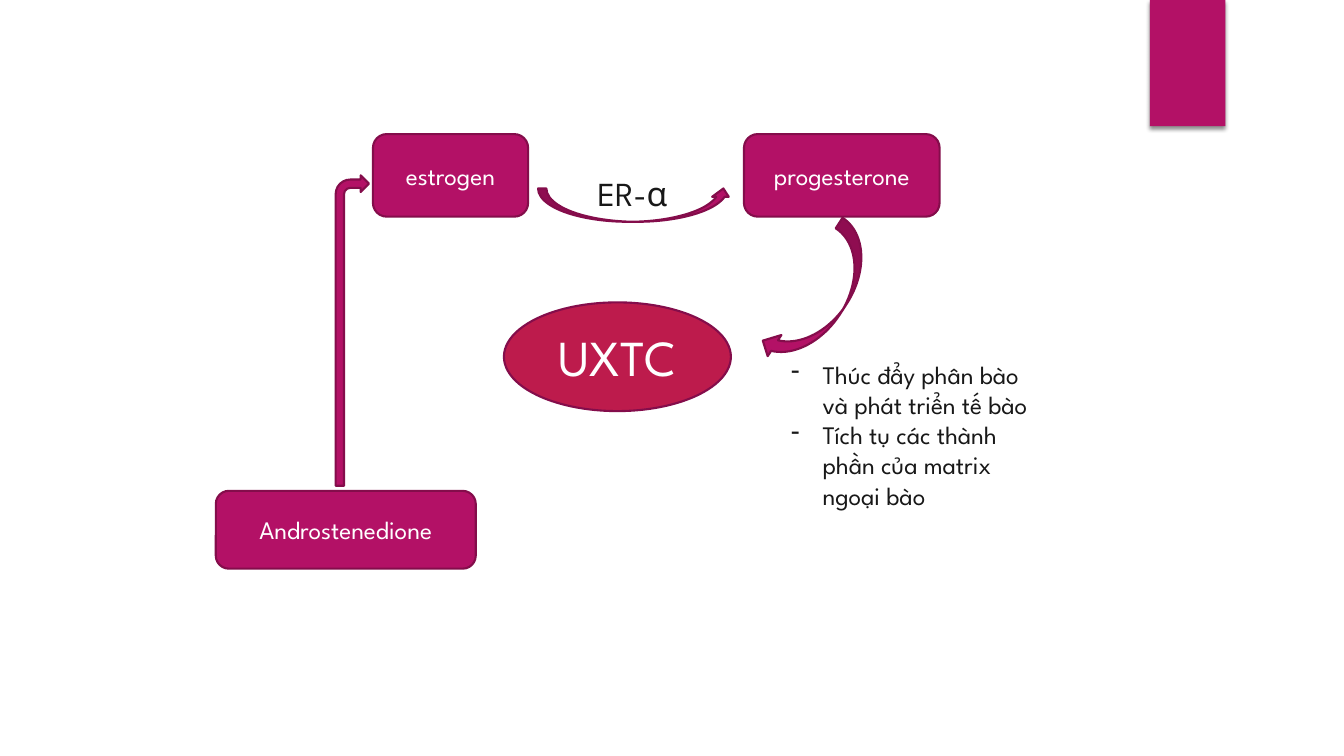
import pptx
import pptx.dml.color
import pptx.enum.shapes
import pptx.enum.text
import pptx.oxml
import pptx.oxml.ns
import pptx.util

Cm, Pt = pptx.util.Cm, pptx.util.Pt
MSO = pptx.enum.shapes.MSO_SHAPE
PP_ALIGN = pptx.enum.text.PP_ALIGN

FONT = "League Spartan"
MAGENTA, CRIMSON, OUTLINE = "B31166", "BD1B4C", "840D4B"
WHITE, INK = "FFFFFF", "181818"
NS = pptx.oxml.ns.nsdecls("a")


def rgb(value):
    return pptx.dml.color.RGBColor.from_string(value)


def add_run(p, text, size, color):
    r = p.add_run()
    r.text = text
    r.font.name = FONT
    r.font.size = Pt(size)
    r.font.color.rgb = rgb(color)


prs = pptx.Presentation()
prs.slide_width, prs.slide_height = Cm(33.87), Cm(19.05)
s = prs.slides.add_slide(prs.slide_layouts[6])

# Corner tab with a soft shadow below
tab = s.shapes.add_shape(MSO.RECTANGLE, Cm(28.98), Cm(0), Cm(1.9), Cm(3.18))
tab.fill.solid()
tab.fill.fore_color.rgb = rgb(MAGENTA)
tab.line.fill.background()
tab._element.spPr.append(pptx.oxml.parse_xml(
    f'<a:effectLst {NS}><a:outerShdw blurRad="{Pt(3)}" dist="{Pt(2)}" dir="5400000" '
    'rotWithShape="0"><a:srgbClr val="000000"><a:alpha val="45000"/></a:srgbClr>'
    '</a:outerShdw></a:effectLst>'))

# Hormones, target and the arrows between them:
# preset, left, top, width, height, rotation, fill, label, text size
diagram = [
    (MSO.OVAL, 12.7, 7.62, 5.72, 2.74, 0, CRIMSON, "UXTC", 36),
    (MSO.ROUNDED_RECTANGLE, 9.4, 3.38, 3.91, 2.08, 0, MAGENTA, "estrogen", 18),
    (MSO.ROUNDED_RECTANGLE, 18.75, 3.38, 4.93, 2.08, 0, MAGENTA, "progesterone", 18),
    (MSO.ROUNDED_RECTANGLE, 5.44, 12.37, 6.55, 1.96, 0, MAGENTA, "Androstenedione", 18),
    (MSO.CURVED_UP_ARROW, 13.56, 4.75, 4.88, 0.84, 0, MAGENTA, None, None),
    (MSO.CURVED_LEFT_ARROW, 20.04, 5.51, 1.27, 4.01, 33, MAGENTA, None, None),
    (MSO.BENT_ARROW, 8.46, 4.42, 0.84, 7.82, 0, MAGENTA, None, None),
]
for preset, left, top, width, height, rotation, fill, label, size in diagram:
    sp = s.shapes.add_shape(preset, Cm(left), Cm(top), Cm(width), Cm(height))
    sp.shadow.inherit = False
    sp.rotation = rotation
    sp.fill.solid()
    sp.fill.fore_color.rgb = rgb(fill)
    sp.line.color.rgb = rgb(OUTLINE)
    sp.line.width = Pt(1.5)
    if label:
        tf = sp.text_frame
        tf.word_wrap = True
        tf.vertical_anchor = pptx.enum.text.MSO_ANCHOR.MIDDLE
        p = tf.paragraphs[0]
        p.alignment = PP_ALIGN.CENTER
        add_run(p, label, size, WHITE)

# Receptor name and the list of effects: left, top, width, height, size, bulleted, lines
notes = [
    (14.81, 4.24, 2.77, 1.27, 24, False, ["ER-α"]),
    (19.69, 8.92, 6.78, 4.88, 18, True, [
        "Thúc đẩy phân bào và phát triển tế bào",
        "Tích tụ các thành phần của matrix ngoại bào",
    ]),
]
for left, top, width, height, size, bulleted, lines in notes:
    tf = s.shapes.add_textbox(Cm(left), Cm(top), Cm(width), Cm(height)).text_frame
    tf.word_wrap = True
    tf.auto_size = pptx.enum.text.MSO_AUTO_SIZE.SHAPE_TO_FIT_TEXT
    for i, line in enumerate(lines):
        p = tf.add_paragraph() if i else tf.paragraphs[0]
        if bulleted:
            pPr = p._p.get_or_add_pPr()
            pPr.set("marL", str(Cm(0.79)))
            pPr.set("indent", str(-Cm(0.79)))
            pPr.append(pptx.oxml.parse_xml(f'<a:buChar {NS} char="-"/>'))
        add_run(p, line, size, INK)

prs.save("out.pptx")
